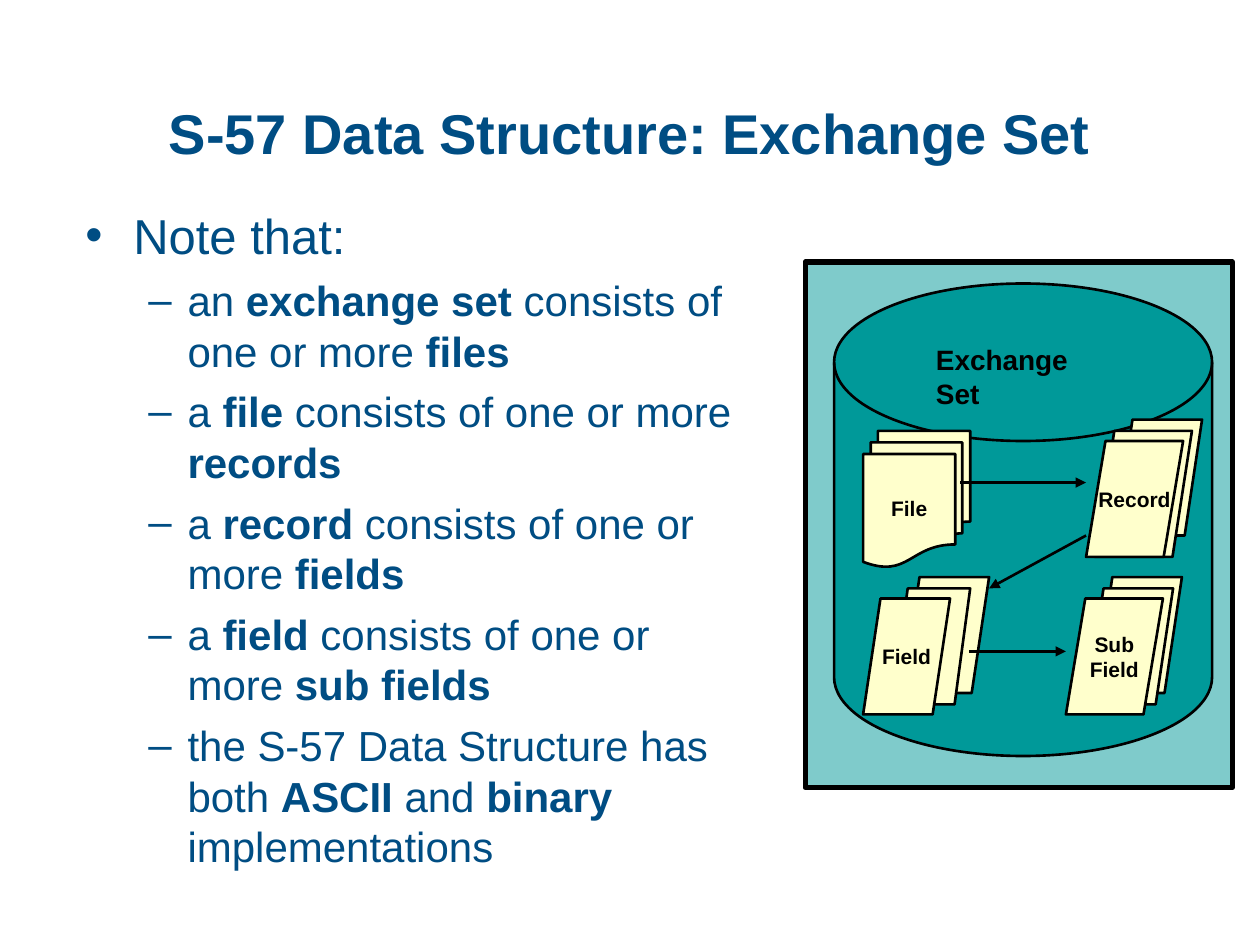
from pptx import Presentation
from pptx.dml.color import RGBColor
from pptx.enum.shapes import MSO_CONNECTOR, MSO_SHAPE
from pptx.enum.text import MSO_ANCHOR, PP_ALIGN
from pptx.oxml.ns import qn
from pptx.util import Inches, Pt
from lxml import etree

NAVY = RGBColor(0x00, 0x4D, 0x83)
TEAL = RGBColor(0x00, 0x99, 0x99)
CREAM = RGBColor(0xFF, 0xFF, 0xCC)
BLACK = RGBColor(0x00, 0x00, 0x00)

prs = Presentation()
prs.slide_width, prs.slide_height = Inches(10), Inches(7.5)
slide = prs.slides.add_slide(prs.slide_layouts[6])


def write(frame, text, size=12, color=BLACK, align=PP_ALIGN.CENTER, bold=True,
          anchor=MSO_ANCHOR.MIDDLE, wrap=False, before=0, bullet=None, indent=0, hang=0):
    """Add one paragraph per line; text between asterisks switches weight."""
    frame.word_wrap = wrap
    frame.vertical_anchor = anchor
    for line in text.split("\n"):
        paragraph = frame.paragraphs[0]
        if paragraph.runs:
            paragraph = frame.add_paragraph()
        paragraph.alignment = align
        paragraph.space_before = Pt(before)
        if bullet:
            properties = paragraph._p.get_or_add_pPr()
            properties.set("marL", str(Inches(indent)))
            properties.set("indent", str(-Inches(hang)))
            etree.SubElement(properties, qn("a:buFont")).set("typeface", "Arial")
            etree.SubElement(properties, qn("a:buChar")).set("char", bullet)
        for i, part in enumerate(line.split("*")):
            if part:
                run = paragraph.add_run()
                run.text = part
                run.font.name = "Arial"
                run.font.size = Pt(size)
                run.font.color.rgb = color
                run.font.bold = bold if i % 2 == 0 else not bold


def add_block(kind, left, top, width, height, fill, line_width=1.5):
    block = slide.shapes.add_shape(kind, Inches(left), Inches(top), Inches(width), Inches(height))
    block.shadow.inherit = False
    block.fill.solid()
    block.fill.fore_color.rgb = fill
    block.line.color.rgb = BLACK
    block.line.width = Pt(line_width)
    return block


# Title
title = slide.shapes.add_textbox(Inches(0.5), Inches(0.42), Inches(9), Inches(1.25))
write(title.text_frame, "S-57 Data Structure: Exchange Set", size=32, color=NAVY, wrap=True)

# Notes on the hierarchy
notes = slide.shapes.add_textbox(Inches(0.58), Inches(1.58), Inches(5.49), Inches(5.42)).text_frame
body = dict(color=NAVY, align=PP_ALIGN.LEFT, bold=False, anchor=MSO_ANCHOR.TOP, wrap=True)
write(notes, "Note that:", size=28, bullet="•", indent=0.38, hang=0.38, **body)
for statement in (
    "an *exchange set* consists of one or more *files*",
    "a* file* consists of one or more *records*",
    "a *record* consists of one or more *fields*",
    "a *field* consists of one or more *sub fields*",
    "the S-57 Data Structure has both *ASCII* and *binary* implementations",
):
    write(notes, statement, size=24, before=6, bullet="–", indent=0.81, hang=0.31, **body)

# Frame and exchange set cylinder
frame = add_block(MSO_SHAPE.RECTANGLE, 6.39, 2.08, 3.39, 4.17, TEAL, 3)
frame_color = frame.fill._xPr.find(qn("a:solidFill"))[0]
etree.SubElement(frame_color, qn("a:alpha")).set("val", "50000")
add_block(MSO_SHAPE.FLOWCHART_MAGNETIC_DISK, 6.62, 2.25, 3, 3.75, TEAL)

# File stack
files = add_block(MSO_SHAPE.FLOWCHART_MULTIDOCUMENT, 6.85, 3.42, 0.85, 1.08, CREAM)
write(files.text_frame, "File")

# Record, field and sub field stacks, back sheet first
stacks = {
    "Record": [(8.85, 3.33, 0.69, 0.92), (8.69, 3.42, 0.77, 1), (8.62, 3.5, 0.77, 0.92)],
    "Field": [(7.16, 4.58, 0.69, 0.92), (7.08, 4.67, 0.62, 0.92), (6.85, 4.75, 0.69, 0.92)],
    "Sub\nField": [(8.69, 4.58, 0.69, 0.92), (8.62, 4.67, 0.69, 0.92), (8.46, 4.75, 0.77, 0.92)],
}
for label, sheets in stacks.items():
    for sheet in sheets:
        front = add_block(MSO_SHAPE.FLOWCHART_DATA, *sheet, CREAM)
    write(front.text_frame, label)

# Arrows from each level to the next
for x1, y1, x2, y2 in ((7.62, 3.83, 8.62, 3.83), (8.62, 4.25, 7.85, 4.67), (7.69, 5.17, 8.46, 5.17)):
    arrow = slide.shapes.add_connector(
        MSO_CONNECTOR.STRAIGHT, Inches(x1), Inches(y1), Inches(x2), Inches(y2))
    arrow.line.color.rgb = BLACK
    arrow.line.width = Pt(1.5)
    etree.SubElement(arrow.line._get_or_add_ln(), qn("a:tailEnd")).set("type", "triangle")
    etree.SubElement(arrow._element.spPr, qn("a:effectLst"))

# Cylinder label
caption = slide.shapes.add_textbox(Inches(7.33), Inches(2.67), Inches(1.65), Inches(0.37))
write(caption.text_frame, "Exchange Set", size=16, align=PP_ALIGN.LEFT, anchor=MSO_ANCHOR.TOP)

prs.save("out.pptx")
